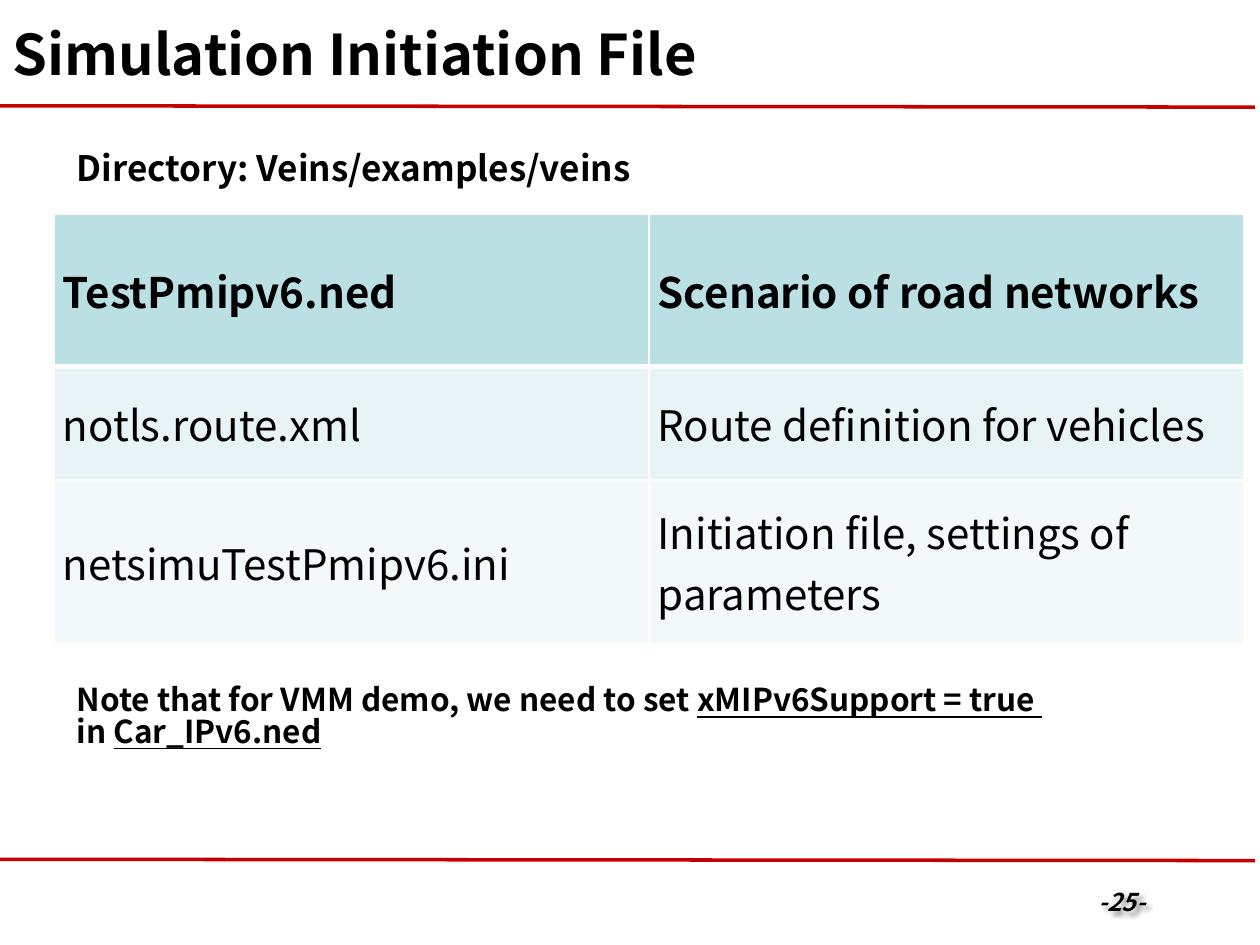
"""Build the slide that lists the simulation initiation files."""
from dataclasses import dataclass

import pptx
import pptx.dml.color
import pptx.enum.shapes
import pptx.enum.text
import pptx.oxml
import pptx.oxml.ns
import pptx.util
from pptx.util import Inches

RGBColor = pptx.dml.color.RGBColor
Align = pptx.enum.text.PP_ALIGN
Anchor = pptx.enum.text.MSO_ANCHOR
BLACK = RGBColor(0x00, 0x00, 0x00)
RED = RGBColor(0xC4, 0x00, 0x00)
WHITE = RGBColor(0xFF, 0xFF, 0xFF)
HEADER_TEAL = RGBColor(0xBB, 0xE0, 0xE3)
LIGHT_TEAL = RGBColor(0xE7, 0xF3, 0xF4)
PALE_TEAL = RGBColor(0xF3, 0xF9, 0xFA)
FONT = "Noto Sans CJK KR"
NAMESPACE = pptx.oxml.ns.nsdecls("a")


@dataclass(frozen=True)
class Span:
    text: str
    size: float
    bold: bool = True
    italic: bool = False
    underline: bool = False


@dataclass(frozen=True)
class Label:
    left: float
    top: float
    width: float
    height: float
    lines: tuple[tuple[Span, ...], ...]
    spacing: float = 1.0
    align: Align = Align.LEFT
    wrap: bool = True


@dataclass(frozen=True)
class FileRow:
    height: float
    fill: RGBColor
    file_name: str
    purpose: tuple[str, ...]
    bold: bool = False


RULE_TOPS = (0.84, 6.82)
TITLE = Span("Simulation Initiation File", 32)
DIRECTORY = Label(
    0.51, 1.15, 6.17, 0.44,
    ((Span("Directory: Veins/examples/veins", 20),),), spacing=0.9,
)
NOTE = Label(
    0.51, 5.4, 8.58, 0.71,
    (
        (
            Span("Note that for VMM demo, we need to set ", 18),
            Span("xMIPv6Support = true ", 18, underline=True),
        ),
        (Span("in ", 18), Span("Car_IPv6.ned", 18, underline=True)),
    ),
    spacing=0.84,
)
PAGE_NUMBER = Label(
    8.39, 6.99, 0.8, 0.34, ((Span("-25-", 14, italic=True),),),
    align=Align.RIGHT, wrap=False,
)
FILE_ROWS = (
    FileRow(1.21, HEADER_TEAL, "TestPmipv6.ned", ("Scenario of road networks",), True),
    FileRow(0.9, LIGHT_TEAL, "notls.route.xml", ("Route definition for vehicles",)),
    FileRow(1.3, PALE_TEAL, "netsimuTestPmipv6.ini",
            ("Initiation file, settings of", "parameters")),
)


def add_span(para, span: Span) -> None:
    run = para.add_run()
    run.text = span.text
    font = run.font
    font.name = FONT
    font.size = pptx.util.Pt(span.size)
    font.bold = span.bold
    font.italic = span.italic
    font.underline = span.underline
    font.color.rgb = BLACK


def add_rule(page, top: float) -> None:
    rule = page.shapes.add_connector(
        pptx.enum.shapes.MSO_CONNECTOR.STRAIGHT,
        Inches(0), Inches(top), Inches(9.96), Inches(top + 0.01),
    )
    rule.line.color.rgb = RED
    rule.line.width = pptx.util.Pt(2)
    rule._element.spPr.append(pptx.oxml.parse_xml(f"<a:effectLst {NAMESPACE}/>"))


def add_label(page, label: Label):
    box = page.shapes.add_textbox(
        Inches(label.left), Inches(label.top), Inches(label.width), Inches(label.height)
    )
    box.text_frame.word_wrap = label.wrap
    para = box.text_frame.paragraphs[0]
    para.alignment = label.align
    para.line_spacing = label.spacing
    for index, line in enumerate(label.lines):
        if index:
            para.add_line_break()
        for span in line:
            add_span(para, span)
    return box


def add_text_shadow(box) -> None:
    box._element.spPr.append(pptx.oxml.parse_xml(
        f'<a:effectLst {NAMESPACE}><a:outerShdw blurRad="38100" dist="38100" dir="2700000">'
        '<a:srgbClr val="000000"><a:alpha val="43000"/></a:srgbClr>'
        "</a:outerShdw></a:effectLst>"
    ))


def set_borders(cell, top: float, bottom: float) -> None:
    properties = cell._tc.get_or_add_tcPr()
    widths = {"lnL": 1, "lnR": 1, "lnT": top, "lnB": bottom}
    for position, (tag, width) in enumerate(widths.items()):
        properties.insert(position, pptx.oxml.parse_xml(
            f'<a:{tag} {NAMESPACE} w="{pptx.util.Pt(width)}"><a:solidFill>'
            f'<a:srgbClr val="{WHITE}"/></a:solidFill></a:{tag}>'
        ))


def fill_cell(cell, row: FileRow, lines: tuple[str, ...]) -> None:
    cell.fill.solid()
    cell.fill.fore_color.rgb = row.fill
    cell.vertical_anchor = Anchor.MIDDLE
    cell.margin_left = cell.margin_right = Inches(0.07)
    cell.margin_top = cell.margin_bottom = Inches(0.05)
    frame = cell.text_frame
    for index, line in enumerate(lines):
        para = frame.add_paragraph() if index else frame.paragraphs[0]
        add_span(para, Span(line, 24, bold=row.bold))


def add_file_table(page, rows: tuple[FileRow, ...]) -> None:
    height = sum(row.height for row in rows)
    table = page.shapes.add_table(
        len(rows), 2, Inches(0.43), Inches(1.7), Inches(9.44), Inches(height)
    ).table
    for index, row in enumerate(rows):
        table.rows[index].height = Inches(row.height)
        for column, lines in enumerate(((row.file_name,), row.purpose)):
            cell = table.cell(index, column)
            fill_cell(cell, row, lines)
            set_borders(cell, 3 if index == 1 else 1, 3 if index == 0 else 1)


def set_title(page) -> None:
    title = page.shapes.title
    title.left, title.top = Inches(0), Inches(0)
    title.width, title.height = Inches(9.65), Inches(0.84)
    title.text_frame.vertical_anchor = Anchor.MIDDLE
    para = title.text_frame.paragraphs[0]
    para.alignment = Align.LEFT
    add_span(para, TITLE)


def main() -> None:
    deck = pptx.Presentation()
    deck.slide_width, deck.slide_height = Inches(10), Inches(7.5)
    page = deck.slides.add_slide(deck.slide_layouts[5])
    for top in RULE_TOPS:
        add_rule(page, top)
    add_text_shadow(add_label(page, PAGE_NUMBER))
    set_title(page)
    add_file_table(page, FILE_ROWS)
    add_label(page, DIRECTORY)
    add_label(page, NOTE)
    deck.save("out.pptx")


if __name__ == "__main__":
    main()
